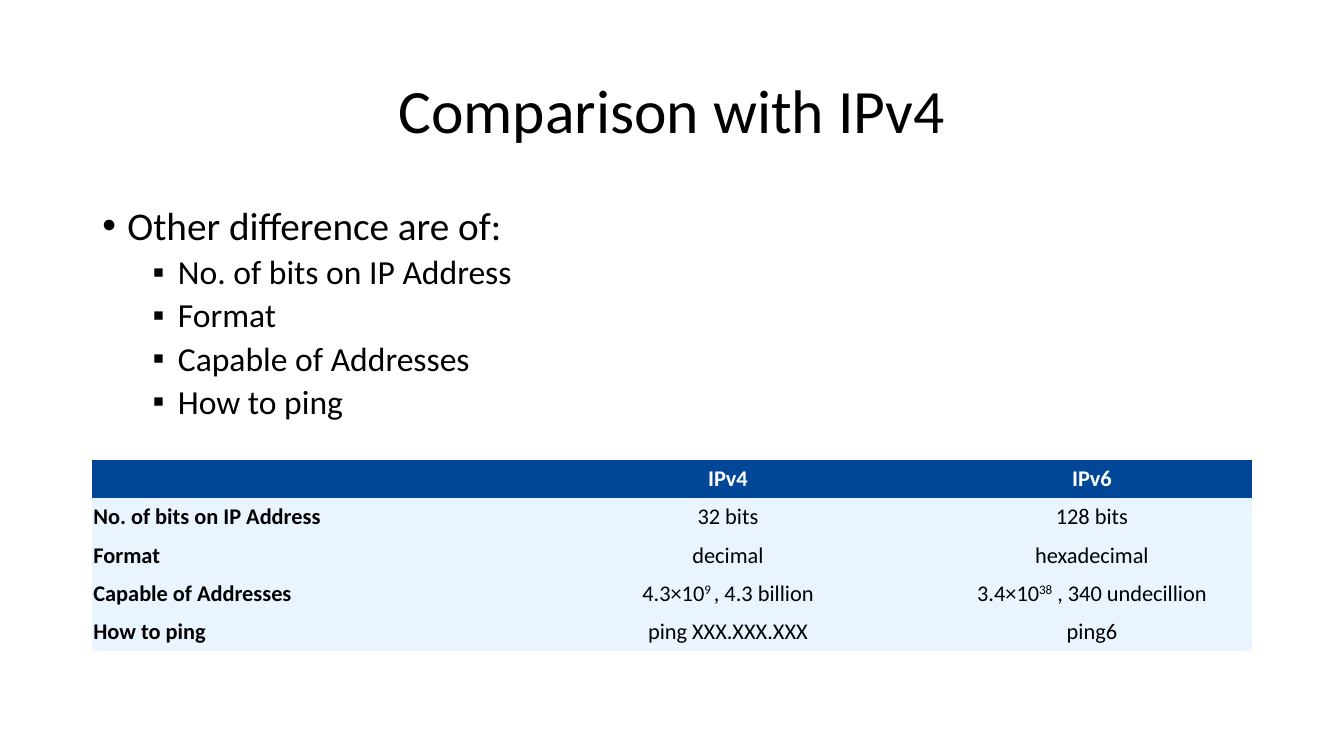
from pptx import Presentation
from pptx.dml.color import RGBColor
from pptx.enum.text import MSO_ANCHOR, PP_ALIGN
from pptx.oxml.ns import qn
from pptx.util import Pt
from lxml import etree

CENTER, LEFT = PP_ALIGN.CENTER, PP_ALIGN.LEFT
TOP, MIDDLE = MSO_ANCHOR.TOP, MSO_ANCHOR.MIDDLE
COLORS = {"text": "000000", "header": "004897", "header_text": "FFFFFF", "body": "E9F4FF"}
NO_GRID_STYLE = "{2D5ABB26-0587-4C30-8999-92F81FD0307C}"
SUPERSCRIPT = "30000"


class SlideBuilder:
    def __init__(self, slide, font_name):
        self.slide = slide
        self.font_name = font_name

    def style(self, paragraph, size, color="text", bold=False):
        font = paragraph.font
        font.name, font.size, font.bold = self.font_name, Pt(size), bold
        font.color.rgb = RGBColor.from_string(COLORS[color])

    def text_frame(self, left, top, width, height, anchor):
        box = self.slide.shapes.add_textbox(Pt(left), Pt(top), Pt(width), Pt(height))
        frame = box.text_frame
        frame.word_wrap = True
        frame.vertical_anchor = anchor
        return frame

    def title(self, text, *area):
        heading = self.text_frame(*area, MIDDLE).paragraphs[0]
        heading.text = text
        heading.alignment = CENTER
        heading.line_spacing = 0.9
        self.style(heading, 44)

    def bullets(self, items, *area):
        frame = self.text_frame(*area, TOP)
        for index, (level, text) in enumerate(items):
            item = frame.paragraphs[0] if index == 0 else frame.add_paragraph()
            item.text = text
            item.level = level
            item.line_spacing = 0.9
            item.space_before = Pt(5 if index else 0)
            properties = item._p.get_or_add_pPr()
            properties.set("marL", str(Pt(18 + 36 * level)))
            properties.set("indent", str(-Pt(18)))
            etree.SubElement(properties, qn("a:buFont")).set("typeface", "Arial")
            etree.SubElement(properties, qn("a:buChar")).set("char", "•▪"[level])
            self.style(item, 28 - 4 * level)

    def cell(self, cell, parts, fill, color, bold, alignment):
        cell.fill.solid()
        cell.fill.fore_color.rgb = RGBColor.from_string(COLORS[fill])
        cell.vertical_anchor = MIDDLE
        cell.margin_left = cell.margin_right = Pt(0.75)
        cell.margin_top = cell.margin_bottom = Pt(0.75)
        paragraph = cell.text_frame.paragraphs[0]
        paragraph.alignment = alignment
        self.style(paragraph, 16, color, bold)
        # Every second part is an exponent
        for index, part in enumerate(parts):
            run = paragraph.add_run()
            run.text = part
            if index % 2:
                run._r.get_or_add_rPr().set("baseline", SUPERSCRIPT)

    def table(self, rows, left, top, widths, row_height):
        frame = self.slide.shapes.add_table(
            len(rows), len(widths), Pt(left), Pt(top),
            Pt(sum(widths)), Pt(row_height * len(rows)))
        table = frame.table
        table.horz_banding = False
        table._tbl.tblPr.find(qn("a:tableStyleId")).text = NO_GRID_STYLE
        for column, width in zip(table.columns, widths):
            column.width = Pt(width)
        for row_index, row in enumerate(rows):
            table.rows[row_index].height = Pt(row_height)
            is_header = row_index == 0
            fill, color = ("header", "header_text") if is_header else ("body", "text")
            for column_index, parts in enumerate(row):
                is_label = column_index == 0
                self.cell(table.cell(row_index, column_index), parts, fill, color,
                          is_header or is_label, LEFT if is_label else CENTER)


def main():
    presentation = Presentation()
    presentation.slide_width, presentation.slide_height = Pt(960), Pt(540)
    slide = presentation.slides.add_slide(presentation.slide_layouts[6])
    builder = SlideBuilder(slide, "Calibri")

    # Title
    builder.title("Comparison with IPv4", 66, 28.75, 828, 104.4)

    # Points of difference, also used as the table's row labels
    differences = ["No. of bits on IP Address", "Format", "Capable of Addresses", "How to ping"]
    items = [(0, "Other difference are of:")] + [(1, text) for text in differences]
    builder.bullets(items, 66, 143.75, 828, 342.6)

    # Comparison table
    values = [
        (["32 bits"], ["128 bits"]),
        (["decimal"], ["hexadecimal"]),
        (["4.3×10", "9 ", ", 4.3 billion"], ["3.4×10", "38", " , 340 undecillion"]),
        (["ping XXX.XXX.XXX"], ["ping6"]),
    ]
    rows = [([], ["IPv4"], ["IPv6"])]
    rows += [([label], *pair) for label, pair in zip(differences, values)]
    builder.table(rows, 66, 328.5, [308, 292, 228], 27.3)

    presentation.save("out.pptx")


if __name__ == "__main__":
    main()
